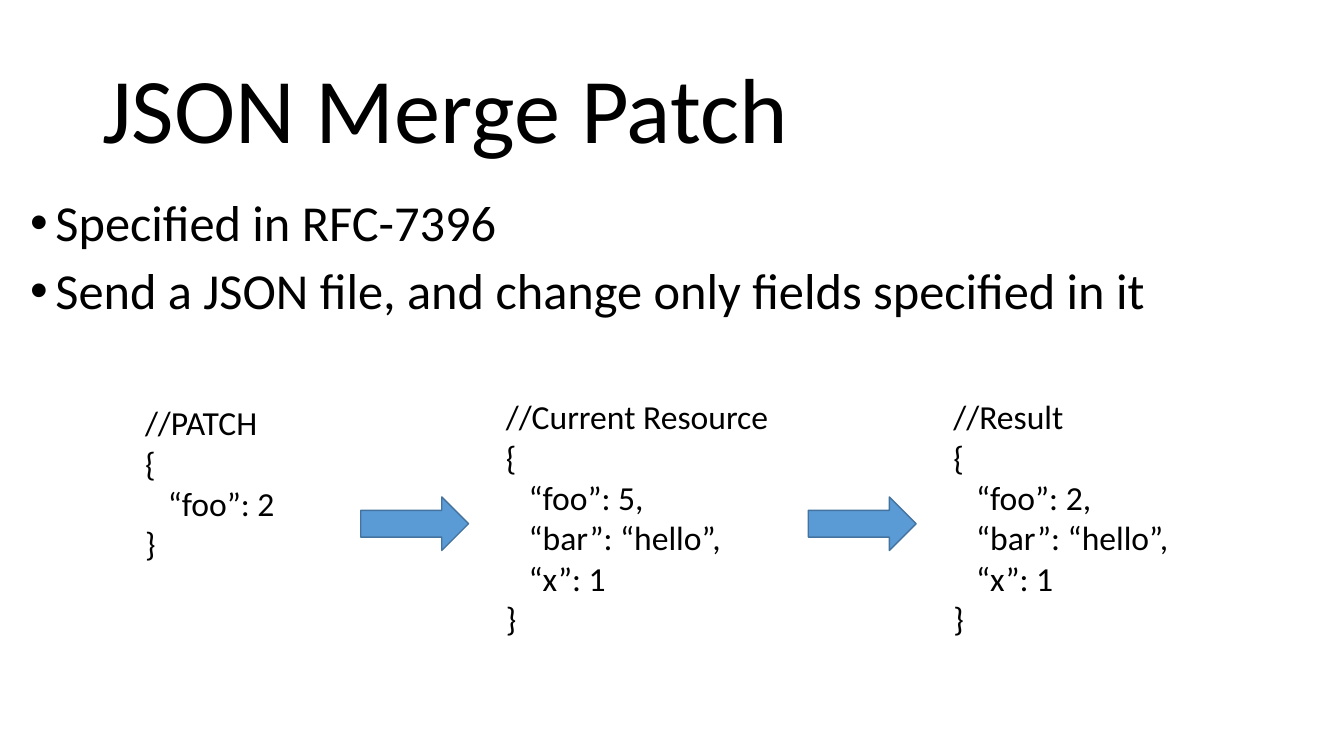
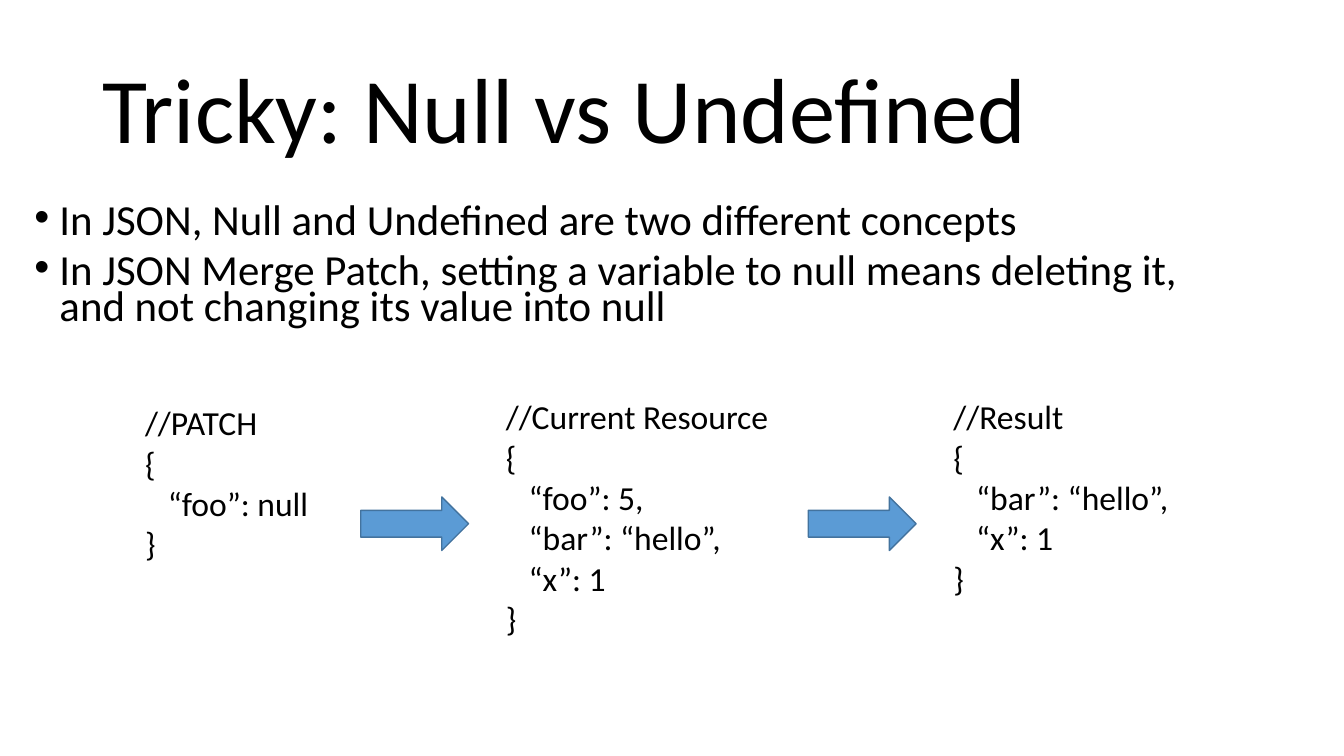
from pptx import Presentation
from pptx.dml.color import RGBColor
from pptx.enum.shapes import MSO_SHAPE
from pptx.enum.text import MSO_ANCHOR, MSO_AUTO_SIZE, PP_ALIGN
from pptx.util import Pt

COLORS = {"text": "000000", "arrow": "5B9BD5", "arrow_line": "43739E"}
FONT = "Calibri"
TITLE_BOX = (66, 28.8, 828, 104.4)
DIAGRAM_BOX = (96.5, 279.4, 780, 182)
COLUMNS = ((0, 4.3, 132), (257.7, 0, 204), (577.4, 0, 175))
ARROW_GAP, ARROW_TOP, ARROW_SIZE = 96.5, 75.6, (77, 38.2)
CODE_INDENT = 16.3

CURRENT = ["“foo”: 5,", "“bar”: “hello”,", "“x”: 1"]
SLIDES = [
    {
        "title": "JSON Merge Patch",
        "bullets": ["Specified in RFC-7396",
                    "Send a JSON file, and change only fields specified in it"],
        "body": {"box": (14.4, 137.5, 934.6, 107.3), "size": 36, "spacing": 0.9},
        "code": [("//PATCH", ["“foo”: 2"]),
                 ("//Current Resource", CURRENT),
                 ("//Result", ["“foo”: 2,"] + CURRENT[1:])],
    },
    {
        "title": "Tricky: Null vs Undefined",
        "bullets": ["In JSON, Null and Undefined are two different concepts",
                    "In JSON Merge Patch, setting a variable to null means "
                    "deleting it, and not changing its value into null"],
        "body": {"box": (17.3, 144, 882, 100.8), "size": 30.6, "spacing": 0.7},
        "code": [("//PATCH", ["“foo”: null"]),
                 ("//Current Resource", CURRENT),
                 ("//Result", CURRENT[1:])],
    },
]


def rgb(name):
    """Return a palette colour."""
    return RGBColor.from_string(COLORS[name])


def place(sp, box):
    """Move a shape to a box given in points."""
    sp.left, sp.top, sp.width, sp.height = (Pt(v) for v in box)


def write(tf, lines, size, spacing=1.0, before=0):
    """Fill a text frame with one formatted paragraph per line."""
    tf.auto_size = MSO_AUTO_SIZE.NONE
    tf.text = "\n".join(lines)
    for p in tf.paragraphs:
        p.alignment = PP_ALIGN.LEFT
        p.line_spacing = spacing
        p.space_before = Pt(before)
        for r in p.runs:
            r.font.name = FONT
            r.font.size = Pt(size)
            r.font.color.rgb = rgb("text")


def indent(p, margin, first=0):
    """Set the left margin and first-line indent of a paragraph."""
    pPr = p._p.get_or_add_pPr()
    pPr.set("marL", str(Pt(margin)))
    pPr.set("indent", str(Pt(first)))


def add_title(slide, text):
    """Fill the title placeholder."""
    sp = slide.shapes.title
    place(sp, TITLE_BOX)
    write(sp.text_frame, [text], 66, 0.9)
    sp.text_frame.vertical_anchor = MSO_ANCHOR.MIDDLE


def add_bullets(slide, lines, box, size, spacing):
    """Fill the body placeholder with a bulleted list."""
    sp = slide.placeholders[1]
    place(sp, box)
    write(sp.text_frame, lines, size, spacing, 10)
    for p in sp.text_frame.paragraphs:
        indent(p, 18, -18)


def add_code(slide, box, heading, fields):
    """Add a commented JSON object as a text box."""
    sp = slide.shapes.add_textbox(*(Pt(v) for v in box))
    tf = sp.text_frame
    write(tf, [heading, "{", *fields, "}"], 24)
    tf.word_wrap = False
    for p in tf.paragraphs[2:-1]:
        indent(p, CODE_INDENT)


def add_arrow(slide, box):
    """Add a block arrow pointing right."""
    sp = slide.shapes.add_shape(MSO_SHAPE.RIGHT_ARROW, *(Pt(v) for v in box))
    sp.shadow.inherit = False
    sp.fill.solid()
    sp.fill.fore_color.rgb = rgb("arrow")
    sp.line.color.rgb = rgb("arrow_line")
    sp.line.width = Pt(1)


def add_diagram(slide, box, blocks):
    """Lay out the code blocks with an arrow leading to each later one."""
    left, top, _, height = box
    for i, ((dx, dy, width), (heading, fields)) in enumerate(zip(COLUMNS, blocks)):
        add_code(slide, (left + dx, top + dy, width, height - dy), heading, fields)
        if i:
            add_arrow(slide, (left + dx - ARROW_GAP, top + ARROW_TOP, *ARROW_SIZE))


def main():
    """Build and save the presentation."""
    prs = Presentation()
    prs.slide_width, prs.slide_height = Pt(960), Pt(540)
    for content in SLIDES:
        slide = prs.slides.add_slide(prs.slide_layouts[1])
        add_title(slide, content["title"])
        add_bullets(slide, content["bullets"], **content["body"])
        add_diagram(slide, DIAGRAM_BOX, content["code"])
    prs.save("out.pptx")


if __name__ == "__main__":
    main()
